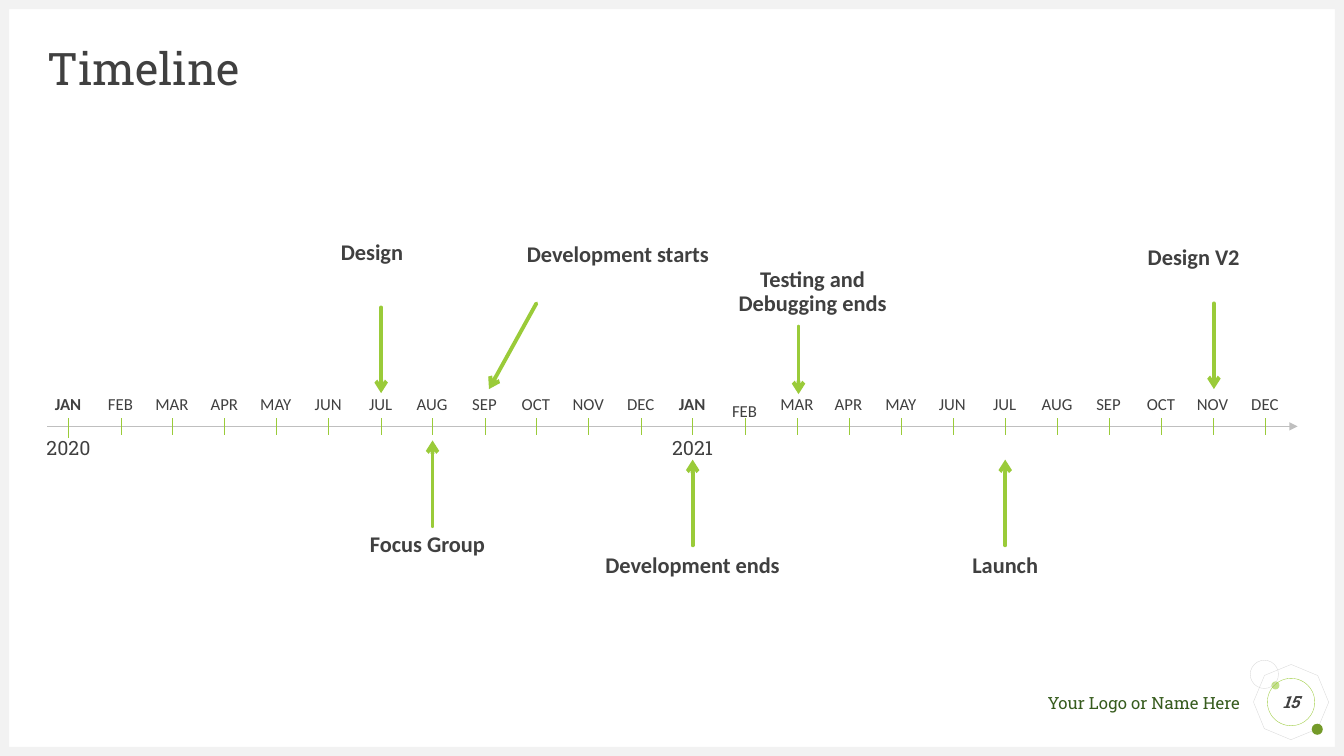
from lxml.etree import SubElement
from pptx import Presentation
from pptx.dml.color import RGBColor
from pptx.enum.shapes import MSO_CONNECTOR as Connector, MSO_SHAPE as Shape
from pptx.enum.text import MSO_ANCHOR as Anchor, PP_ALIGN as Align
from pptx.oxml.ns import qn
from pptx.util import Pt

# Content: lengths in px, 100 px to the inch
TITLE = "Timeline"
FOOTER = "Your Logo or Name Here"
PAGE_NUMBER = "15"
MONTHS = "JAN FEB MAR APR MAY JUN JUL AUG SEP OCT NOV DEC".split()
YEARS = ["2020", "2021"]
LOWERED_MONTH = 13  # February 2021 sits a little lower
MILESTONES = [  # text, label left and top, arrow start, arrow end
    ("Design", (271, 235), (378, 305), (378, 390)),
    ("Focus Group", (326, 525), (429, 522), (429, 437)),
    ("Development starts", (515, 237), (532, 301), (485, 386)),
    ("Development ends", (589, 546), (687, 541), (687, 456)),
    ("Testing and Debugging ends", (708, 262), (792, 324), (792, 391)),
    ("Launch", (899, 546), (997, 541), (997, 456)),
    ("Design V2", (1086, 240), (1204, 301), (1204, 386)),
]
BORDER = [(0, 741, 1333, 9), (0, 0, 1333, 9), (0, 0, 9, 750), (1324, 0, 9, 750)]
ORNAMENTS = [  # shape, place, rotation, fill, line
    (Shape.OCTAGON, (1246, 662, 69, 69), 22.7, None, "D9D9D9"),
    (Shape.OVAL, (1261, 676, 8, 8), 0, "C2E088", None),
    (Shape.OVAL, (1301, 718, 11, 11), 0, "749A29", None),
    (Shape.OVAL, (1240, 655, 28, 28), 0, None, "D9D9D9"),
]

PX = 9144
WIDTH, HEIGHT = 1333, 750
FIRST_TICK, LAST_TICK = 68, 1255
SERIF, SANS = "Roboto Slab", "Calibri"
DARK, GREEN = "404040", "9ACB39"

deck = Presentation()
deck.slide_width, deck.slide_height = WIDTH * PX, HEIGHT * PX
page = deck.slides.add_slide(deck.slide_layouts[5])


def rgb(value):
    return RGBColor.from_string(value)


def emu(lengths):
    return [length * PX for length in lengths]


def write(box, text, size=12, font=SANS, color=DARK, bold=False, italic=False,
          align=Align.CENTER, anchor=Anchor.TOP, spacing=0.9, inset_top=0):
    frame = box.text_frame
    frame.word_wrap = True
    frame.vertical_anchor = anchor
    frame.margin_left = frame.margin_right = frame.margin_bottom = 0
    frame.margin_top = inset_top * PX
    para = frame.paragraphs[0]
    para.alignment = align
    para.line_spacing = spacing
    span = para.add_run()
    span.text = text
    span.font.size, span.font.name = Pt(size), font
    span.font.bold, span.font.italic = bold, italic
    span.font.color.rgb = rgb(color)


def add_text(place, text, **form):
    write(page.shapes.add_textbox(*emu(place)), text, **form)


def add_shape(kind, place, rotation=0, fill=None, line=None):
    shape = page.shapes.add_shape(kind, *emu(place))
    shape.shadow.inherit = False
    shape.rotation = rotation
    if fill:
        shape.fill.solid()
        shape.fill.fore_color.rgb = rgb(fill)
    else:
        shape.fill.background()
    if line:
        shape.line.color.rgb = rgb(line)
        shape.line.width = Pt(0.25)
    else:
        shape.line.fill.background()
    return shape


def add_line(start, end, color, width, head=None, cap="flat"):
    line = page.shapes.add_connector(Connector.STRAIGHT, *emu(start + end))
    line.line.color.rgb = rgb(color)
    line.line.width = Pt(width)
    outline = line.line._get_or_add_ln()
    outline.set("cap", cap)
    if head:
        SubElement(outline, qn("a:tailEnd"), type=head)
    SubElement(line._element.spPr, qn("a:effectLst"))


# Frame, corner ornaments and footer
for kind, place, rotation, fill, line in ORNAMENTS:
    add_shape(kind, place, rotation, fill, line)
add_text((955, 687, 275, 20), FOOTER, font=SERIF, color="375C1E",
         align=Align.RIGHT, spacing=1)
for place in BORDER:
    add_shape(Shape.RECTANGLE, place, fill="F2F2F2")

# Title
title = page.shapes.title
title.left, title.top, title.width, title.height = emu((47, 47, 1240, 47))
write(title, TITLE, size=32, font=SERIF, align=Align.LEFT, anchor=Anchor.MIDDLE)

# Axis with months, ticks and years
add_line((47, 423), (1287, 423), "BFBFBF", 0.5, head="triangle")
count = len(MONTHS) * len(YEARS)
for index in range(count):
    year, month = divmod(index, len(MONTHS))
    x = round(FIRST_TICK + (LAST_TICK - FIRST_TICK) * index / (count - 1))
    top = 400 if index == LOWERED_MONTH else 393
    add_text((x - 21, top, 41, 22), MONTHS[month], bold=month == 0)
    add_line((x, 415), (x, 435 if index == 0 else 432), GREEN, 0.25 if year else 0.5)
    if month == 0:
        add_text((x - 30, 435, 60, 22), YEARS[year], size=14, font=SERIF,
                 anchor=Anchor.MIDDLE)

# Milestones
for text, (left, top), start, end in MILESTONES:
    add_line(start, end, GREEN, 2.75, head="arrow", cap="rnd")
    add_text((left, top, 196, 61), text, size=16, bold=True, inset_top=4)

# Page number
badge = add_shape(Shape.OVAL, (1257, 673, 47, 47), line=GREEN)
write(badge, PAGE_NUMBER, font=SERIF, bold=True, italic=True,
      anchor=Anchor.MIDDLE, spacing=1)

deck.save("out.pptx")
